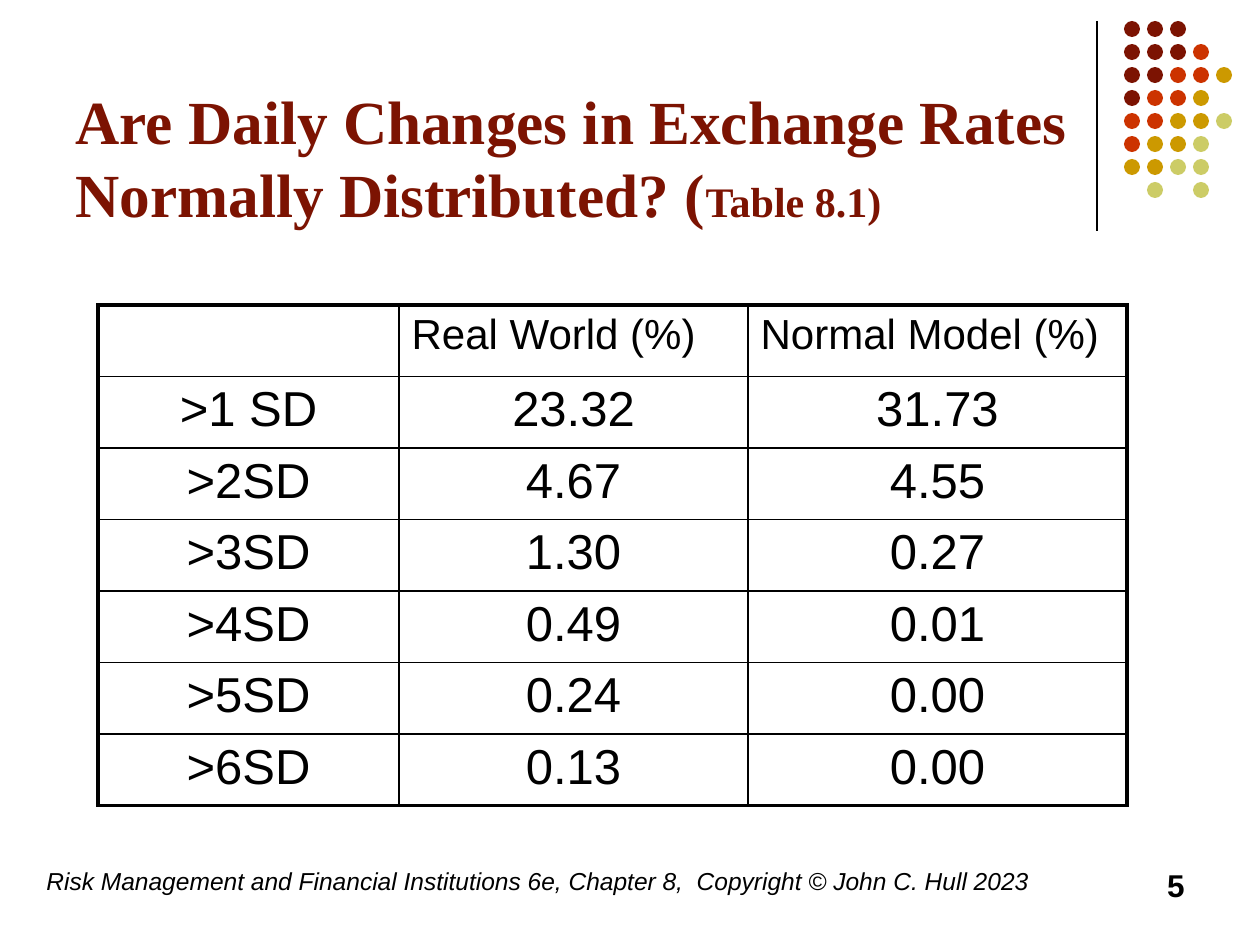
from lxml import etree
from pptx import Presentation
from pptx.dml.color import RGBColor
from pptx.enum.shapes import MSO_CONNECTOR, MSO_SHAPE
from pptx.enum.text import MSO_ANCHOR, PP_ALIGN
from pptx.oxml.ns import qn
from pptx.util import Emu, Pt

LEFT, CENTER, RIGHT = PP_ALIGN.LEFT, PP_ALIGN.CENTER, PP_ALIGN.RIGHT
TOP, BOTTOM = MSO_ANCHOR.TOP, MSO_ANCHOR.BOTTOM
ELLIPSE = MSO_SHAPE.OVAL
STRAIGHT = MSO_CONNECTOR.STRAIGHT

EMU_PER_PX = 914400 / 126
BLACK, MAROON = "000000", "7C1302"
THIN, THICK = 1, 2.25

# One letter per dot, a space where the grid is empty
DOT_COLORS = {"M": MAROON, "R": "CC3300", "G": "CC9900", "Y": "CCCC66"}
DOT_ROWS = ["MMM", "MMMR", "MMRRG", "MRRG", "RRGGY", "RGGY", "GGYY", " Y Y"]

COLUMN_WIDTHS = [301, 349, 379]
ROWS = [
    ["", "Real World (%)", "Normal Model (%)"],
    [">1 SD", "23.32", "31.73"],
    [">2SD", "4.67", "4.55"],
    [">3SD", "1.30", "0.27"],
    [">4SD", "0.49", "0.01"],
    [">5SD", "0.24", "0.00"],
    [">6SD", "0.13", "0.00"],
]


def px(n):
    return Emu(round(n * EMU_PER_PX))


def rgb(color):
    return RGBColor.from_string(color)


def add_run(p, text, size=18, font="Arial", color=BLACK, bold=False, italic=False):
    r = p.add_run()
    r.text = text
    r.font.size = Pt(size)
    r.font.name = font
    r.font.color.rgb = rgb(color)
    r.font.bold = bold
    r.font.italic = italic


def add_text_box(s, x, y, w, h, align=LEFT, anchor=TOP):
    """Add an empty wrapped box and return its first paragraph."""
    tf = s.shapes.add_textbox(px(x), px(y), px(w), px(h)).text_frame
    tf.word_wrap = True
    tf.vertical_anchor = anchor
    p = tf.paragraphs[0]
    p.alignment = align
    return p


def add_rule(s, x1, y1, x2, y2):
    line = s.shapes.add_connector(STRAIGHT, px(x1), px(y1), px(x2), px(y2))
    line.line.color.rgb = rgb(BLACK)
    line.line.width = Pt(0.75)
    etree.SubElement(line._element.spPr, qn("a:effectLst"))


def add_dots(s, left, top, pitch, size):
    for i, row in enumerate(DOT_ROWS):
        for j, key in enumerate(row):
            if key == " ":
                continue
            dot = s.shapes.add_shape(ELLIPSE, px(left + j * pitch),
                                     px(top + i * pitch), px(size), px(size))
            dot.shadow.inherit = False
            dot.fill.solid()
            dot.fill.fore_color.rgb = rgb(DOT_COLORS[key])
            dot.line.fill.background()


def set_borders(cell, **widths):
    tcPr = cell._tc.get_or_add_tcPr()
    for side, width in widths.items():
        ln = etree.SubElement(tcPr, qn(f"a:ln{side}"), w=str(Pt(width)))
        fill = etree.SubElement(ln, qn("a:solidFill"))
        etree.SubElement(fill, qn("a:srgbClr"), val=BLACK)


def add_data_table(s, x, y, h):
    last_row, last_col = len(ROWS) - 1, len(COLUMN_WIDTHS) - 1
    table = s.shapes.add_table(len(ROWS), len(COLUMN_WIDTHS), px(x), px(y),
                               px(sum(COLUMN_WIDTHS)), px(h)).table
    table.first_row = table.horz_banding = False
    for column, width in zip(table.columns, COLUMN_WIDTHS):
        column.width = px(width)
    for i, row in enumerate(ROWS):
        for j, text in enumerate(row):
            cell = table.cell(i, j)
            # Thick frame outside, thin lines inside
            set_borders(cell,
                        L=THICK if j == 0 else THIN,
                        R=THICK if j == last_col else THIN,
                        T=THICK if i == 0 else THIN,
                        B=THICK if i == last_row else THIN)
            cell.fill.background()
            if text:
                p = cell.text_frame.paragraphs[0]
                p.alignment = CENTER if i else LEFT
                add_run(p, text, size=28 if i else 24)


def main():
    prs = Presentation()
    prs.slide_width, prs.slide_height = px(1260), px(945)
    s = prs.slides.add_slide(prs.slide_layouts[6])
    s.background.fill.solid()
    s.background.fill.fore_color.rgb = rgb("FFFFFF")

    # Corner decoration
    add_rule(s, 1097, 21, 1097, 231)
    add_dots(s, 1124, 21, pitch=23, size=16)

    # Title
    p = add_text_box(s, 63, 29, 1040, 207, anchor=BOTTOM)
    style = {"font": "Times New Roman", "color": MAROON, "bold": True}
    add_run(p, "Are Daily Changes in Exchange Rates Normally Distributed? (",
            size=35, **style)
    add_run(p, "Table 8.1)", size=24, **style)

    # Table
    add_data_table(s, 98, 305, 500)

    # Footer and slide number
    p = add_text_box(s, 34, 860, 1042, 63)
    add_run(p, "Risk Management and Financial Institutions 6e, Chapter 8,  "
               "Copyright © John C. Hull 2023", size=14, italic=True)
    p = add_text_box(s, 903, 860, 294, 63, align=RIGHT)
    add_run(p, "5", size=18, bold=True)

    prs.save("out.pptx")


if __name__ == "__main__":
    main()
